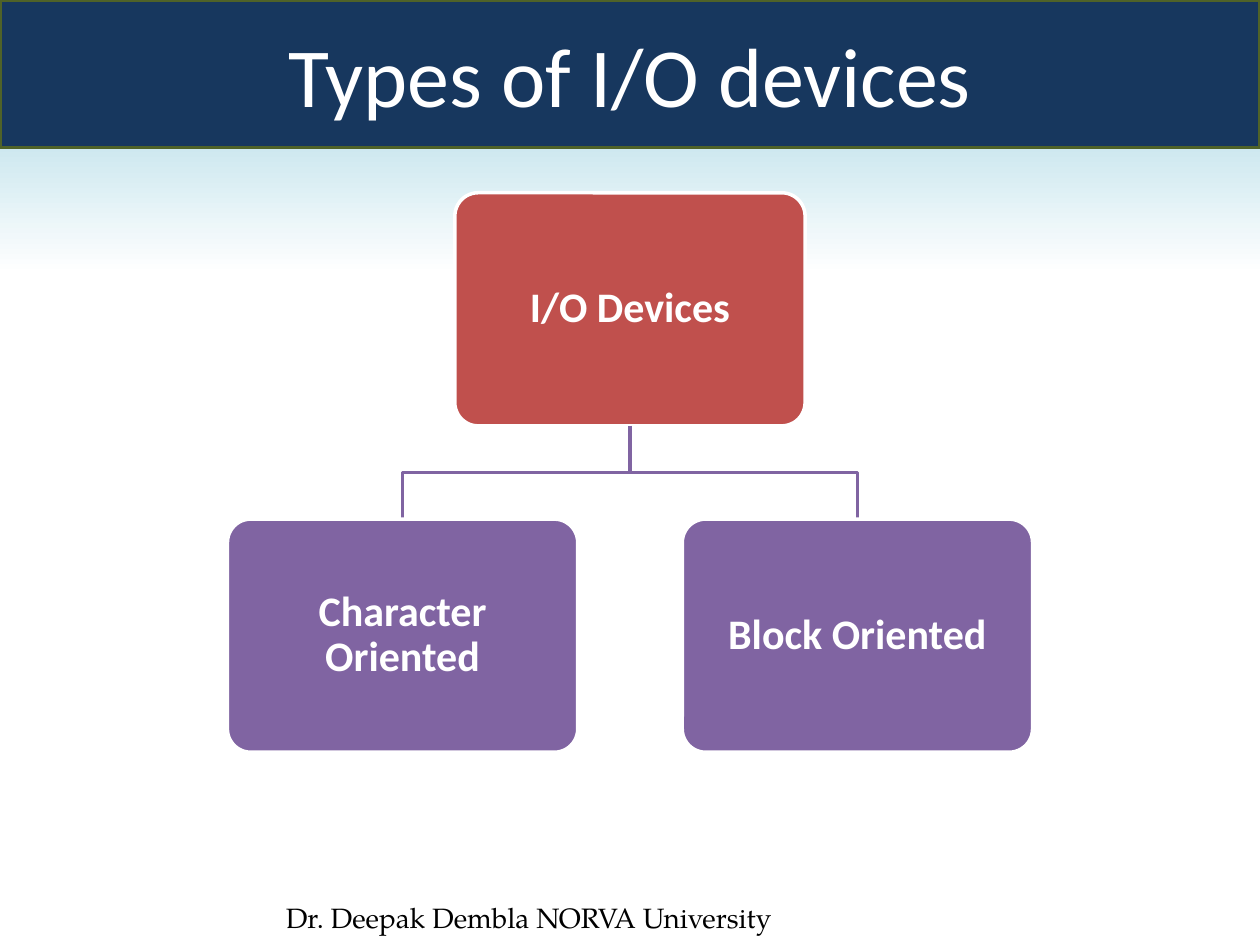
"""Build a slide with a two-level tree of I/O device types."""
import pptx
import pptx.util
import pptx.dml.color
import pptx.enum.shapes
import pptx.enum.text

Inches = pptx.util.Inches
Pt = pptx.util.Pt
ALIGN = pptx.enum.text.PP_ALIGN
MIDDLE = pptx.enum.text.MSO_ANCHOR.MIDDLE

TITLE = "Types of I/O devices"
ROOT = "I/O Devices"
KINDS = ["Character Oriented", "Block Oriented"]
FOOTER = "Dr. Deepak Dembla NORVA University"

THEME = {
    "font": "Calibri", "foot_font": "TeX Gyre Pagella",
    "title": 48, "card": 24, "foot": 16, "line": 2,
    "sky": "93CDDD", "white": "FFFFFF", "black": "000000",
    "navy": "17375E", "olive": "4F6228", "red": "C0504D", "purple": "8064A2",
}
WIDE, HIGH = 10, 7.5
CARD_W, CARD_H = 2.78, 1.85
ROOT_TOP, KIND_TOP = 1.53, 4.12
STEP = 3.61


def color(name):
    return pptx.dml.color.RGBColor.from_string(THEME[name])


def paint(shape, fill, line):
    shape.fill.solid()
    shape.fill.fore_color.rgb = color(fill)
    shape.line.color.rgb = color(line)
    shape.line.width = Pt(THEME["line"])


def write(shape, text, size, ink="white", font="font", bold=False, align=ALIGN.CENTER):
    shape.text_frame.text = text
    shape.text_frame.word_wrap = True
    para = shape.text_frame.paragraphs[0]
    para.alignment = align
    face = para.runs[0].font
    face.name, face.size, face.bold = THEME[font], Pt(THEME[size]), bold
    face.color.rgb = color(ink)


def add_card(slide, text, mid, top, fill):
    card = slide.shapes.add_shape(
        pptx.enum.shapes.MSO_SHAPE.ROUNDED_RECTANGLE,
        Inches(mid - CARD_W / 2), Inches(top), Inches(CARD_W), Inches(CARD_H))
    card.adjustments[0] = 0.1
    card.shadow.inherit = False
    paint(card, fill, "white")
    write(card, text, "card", bold=True)
    frame = card.text_frame
    frame.vertical_anchor = MIDDLE
    frame.margin_left = frame.margin_right = Inches(0.15)
    frame.paragraphs[0].line_spacing = 0.9


def add_branch(slide, start, end):
    low = ROOT_TOP + CARD_H
    bend = (low + KIND_TOP) / 2
    points = [(start, bend), (end, bend), (end, KIND_TOP)]
    pen = slide.shapes.build_freeform(Inches(start), Inches(low))
    pen.add_line_segments([(Inches(x), Inches(y)) for x, y in points], close=False)
    branch = pen.convert_to_shape()
    branch.shadow.inherit = False
    branch.fill.background()
    branch.line.color.rgb = color("purple")
    branch.line.width = Pt(THEME["line"])


def add_sky(slide):
    fill = slide.background.fill
    fill.gradient()
    fill.gradient_angle = 270
    for stop, place, name in zip(fill.gradient_stops, (0, 0.29), ("sky", "white")):
        stop.position = place
        stop.color.rgb = color(name)


def add_title(slide):
    title = slide.shapes.title
    title.left, title.top = Inches(0), Inches(0)
    title.width, title.height = Inches(WIDE), Inches(1.17)
    paint(title, "navy", "olive")
    write(title, TITLE, "title")
    title.text_frame.vertical_anchor = MIDDLE


def main():
    deck = pptx.Presentation()
    deck.slide_width, deck.slide_height = Inches(WIDE), Inches(HIGH)
    slide = deck.slides.add_slide(deck.slide_layouts[5])
    add_sky(slide)
    foot = slide.shapes.add_textbox(Inches(2.17), Inches(7.1), Inches(5.75), Inches(0.4))
    write(foot, FOOTER, "foot", "black", "foot_font", align=ALIGN.LEFT)
    add_title(slide)

    mid = WIDE / 2
    add_card(slide, ROOT, mid, ROOT_TOP, "red")
    for i, kind in enumerate(KINDS):
        x = mid + (i - (len(KINDS) - 1) / 2) * STEP
        add_branch(slide, mid, x)
        add_card(slide, kind, x, KIND_TOP, "purple")
    deck.save("out.pptx")


if __name__ == "__main__":
    main()
